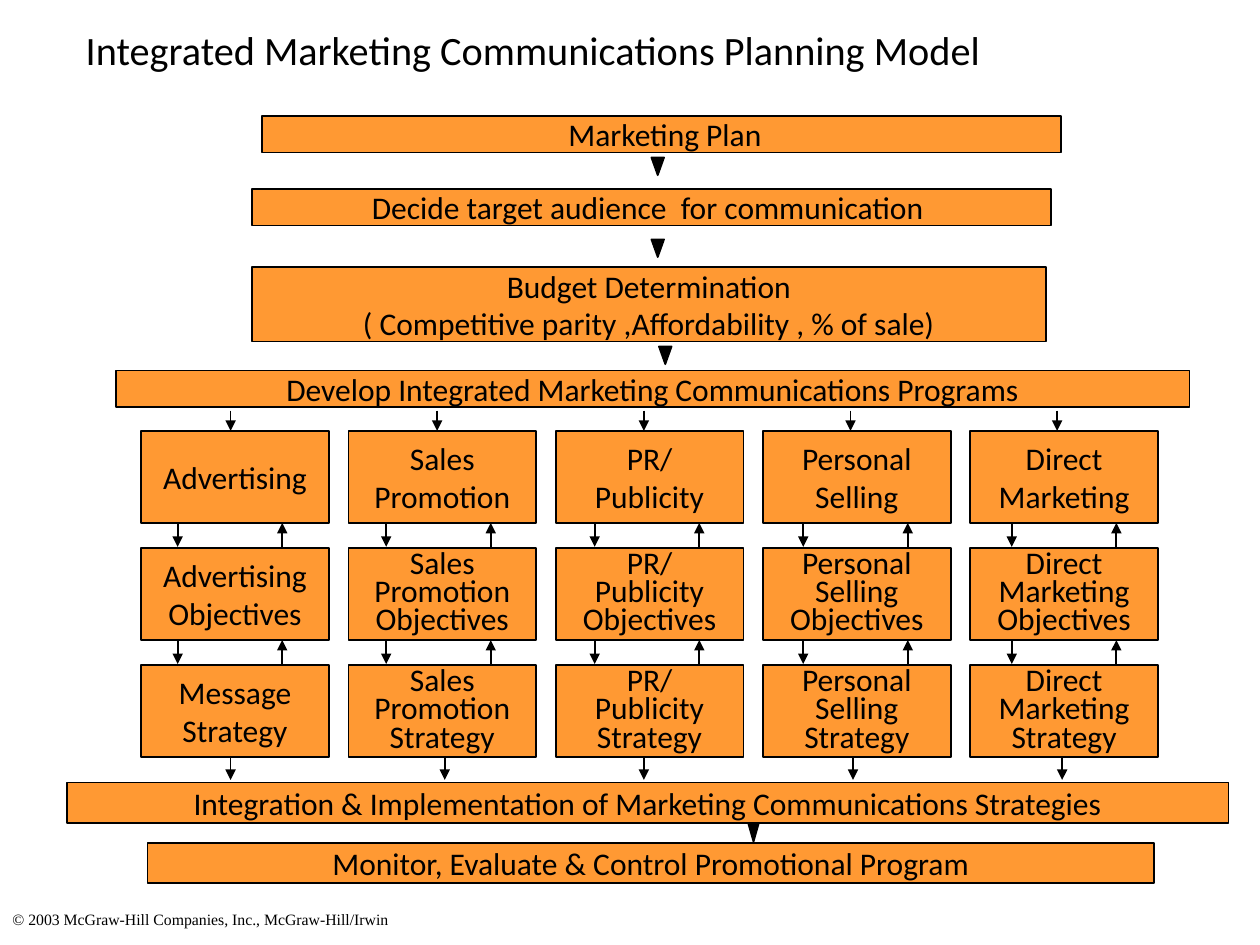
from lxml import etree
from pptx import Presentation
from pptx.dml.color import RGBColor
from pptx.enum.shapes import MSO_CONNECTOR, MSO_SHAPE
from pptx.enum.text import MSO_ANCHOR, PP_ALIGN
from pptx.oxml.ns import qn
from pptx.util import Inches, Pt

LINE = MSO_CONNECTOR.STRAIGHT
BOX = MSO_SHAPE.FLOWCHART_PROCESS
WEDGE = MSO_SHAPE.ISOSCELES_TRIANGLE
MIDDLE = MSO_ANCHOR.MIDDLE
LEFT, CENTER = PP_ALIGN.LEFT, PP_ALIGN.CENTER

COLORS = {"fill": "FF9933", "ink": "000000"}
SANS, SERIF = "Calibri", "Times New Roman"

COLS = 5
GRID_X, GRID_Y = 1.12, 3.42
STEP_X, STEP_Y = 1.645, 0.93
CELL_W, CELL_H = 1.49, 0.73
PAIR_X, PAIR_STEP = 1.41, 1.655
PAIR_GAP = 0.83

BARS = [
    (2.08, 0.92, 6.34, 0.29, [" Marketing Plan"]),
    (2, 1.5, 6.34, 0.29, ["Decide target audience  for communication "]),
    (2, 2.12, 6.3, 0.59, ["Budget Determination",
                          "( Competitive parity ,Affordability , % of sale)"]),
    (0.92, 2.94, 8.52, 0.29,
     ["Develop Integrated Marketing Communications Programs"]),
    (0.53, 6.21, 9.22, 0.32,
     ["Integration & Implementation of Marketing Communications Strategies"]),
    (1.17, 6.69, 7.99, 0.32,
     ["Monitor, Evaluate & Control Promotional Program"]),
]
WEDGES = [(5.17, 1.25, 0.1), (5.17, 1.9, 0.1), (5.23, 2.75, 0.1),
          (5.94, 6.54, 0.08)]
TOOLS = [["Sales", "Promotion"], ["PR/", "Publicity"],
         ["Personal", "Selling"], ["Direct", "Marketing"]]
ROWS = [
    [["Advertising"]] + TOOLS,
    [["Advertising", "Objectives"]] + [t + ["Objectives"] for t in TOOLS],
    [["Message", "Strategy"]] + [t + ["Strategy"] for t in TOOLS],
]
EXITS = [1.83, 3.53, 5.11, 6.77, 8.43]


def color(name):
    return RGBColor.from_string(COLORS[name])


def write(frame, lines, size, face=SANS, align=LEFT, space=None):
    for i, line in enumerate(lines):
        para = frame.add_paragraph() if i else frame.paragraphs[0]
        para.alignment = align
        if space:
            para.line_spacing = space
        run = para.add_run()
        run.text = line
        run.font.size = Pt(size)
        run.font.name = face
        run.font.color.rgb = color("ink")


def add_form(slide, kind, x, y, w, h, fill):
    form = slide.shapes.add_shape(
        kind, Inches(x), Inches(y), Inches(w), Inches(h))
    form.shadow.inherit = False
    form.fill.solid()
    form.fill.fore_color.rgb = color(fill)
    form.line.color.rgb = color("ink")
    form.line.width = Pt(1)
    return form


def add_box(slide, x, y, w, h, lines):
    frame = add_form(slide, BOX, x, y, w, h, "fill").text_frame
    frame.word_wrap = False
    frame.vertical_anchor = MIDDLE
    write(frame, lines, 18, align=CENTER,
          space=0.75 if len(lines) > 2 else None)


def add_wedge(slide, x, y, w):
    add_form(slide, WEDGE, x, y, w, 0.14, "ink").rotation = 180


def add_arrow(slide, x, start, end):
    arrow = slide.shapes.add_connector(
        LINE, Inches(x), Inches(start), Inches(x), Inches(end))
    arrow.line.color.rgb = color("ink")
    arrow.line.width = Pt(1)
    etree.SubElement(arrow.line._get_or_add_ln(), qn("a:tailEnd"),
                     type="triangle")
    etree.SubElement(arrow._element.spPr, qn("a:effectLst"))


def add_title(slide, text):
    title = slide.shapes.title
    title.left, title.top = Inches(0.58), Inches(0)
    title.width, title.height = Inches(8.83), Inches(0.83)
    frame = title.text_frame
    frame.margin_top = frame.margin_bottom = 0
    frame.vertical_anchor = MIDDLE
    write(frame, [text], 23, space=0.9)


def add_foot(slide, text):
    foot = slide.shapes.add_textbox(
        Inches(0), Inches(7.17), Inches(10), Inches(0.17))
    foot.text_frame.word_wrap = True
    write(foot.text_frame, [text], 9, SERIF)


def add_flow(slide):
    for x in EXITS:
        add_arrow(slide, x, 5.96, 6.19)
    for row in range(1, len(ROWS)):
        top = GRID_Y + row * STEP_Y
        for col in range(COLS):
            x = PAIR_X + col * PAIR_STEP
            add_arrow(slide, x, top - 0.24, top - 0.01)
            add_arrow(slide, x + PAIR_GAP, top + 0.01, top - 0.2)


def add_grid(slide):
    for row, cells in enumerate(ROWS):
        for col, lines in enumerate(cells):
            add_box(slide, GRID_X + col * STEP_X, GRID_Y + row * STEP_Y,
                    CELL_W, CELL_H, lines)
    for col in range(COLS):
        add_arrow(slide, 1.83 + col * 1.64, 3.26, GRID_Y)


def main():
    deck = Presentation()
    deck.slide_width, deck.slide_height = Inches(10), Inches(7.5)
    slide = deck.slides.add_slide(deck.slide_layouts[5])
    add_title(slide, "Integrated Marketing Communications Planning Model")
    add_flow(slide)
    for bar in BARS:
        add_box(slide, *bar)
    add_grid(slide)
    for wedge in WEDGES:
        add_wedge(slide, *wedge)
    add_foot(slide, "© 2003 McGraw-Hill Companies, Inc., McGraw-Hill/Irwin")
    deck.save("out.pptx")


if __name__ == "__main__":
    main()
